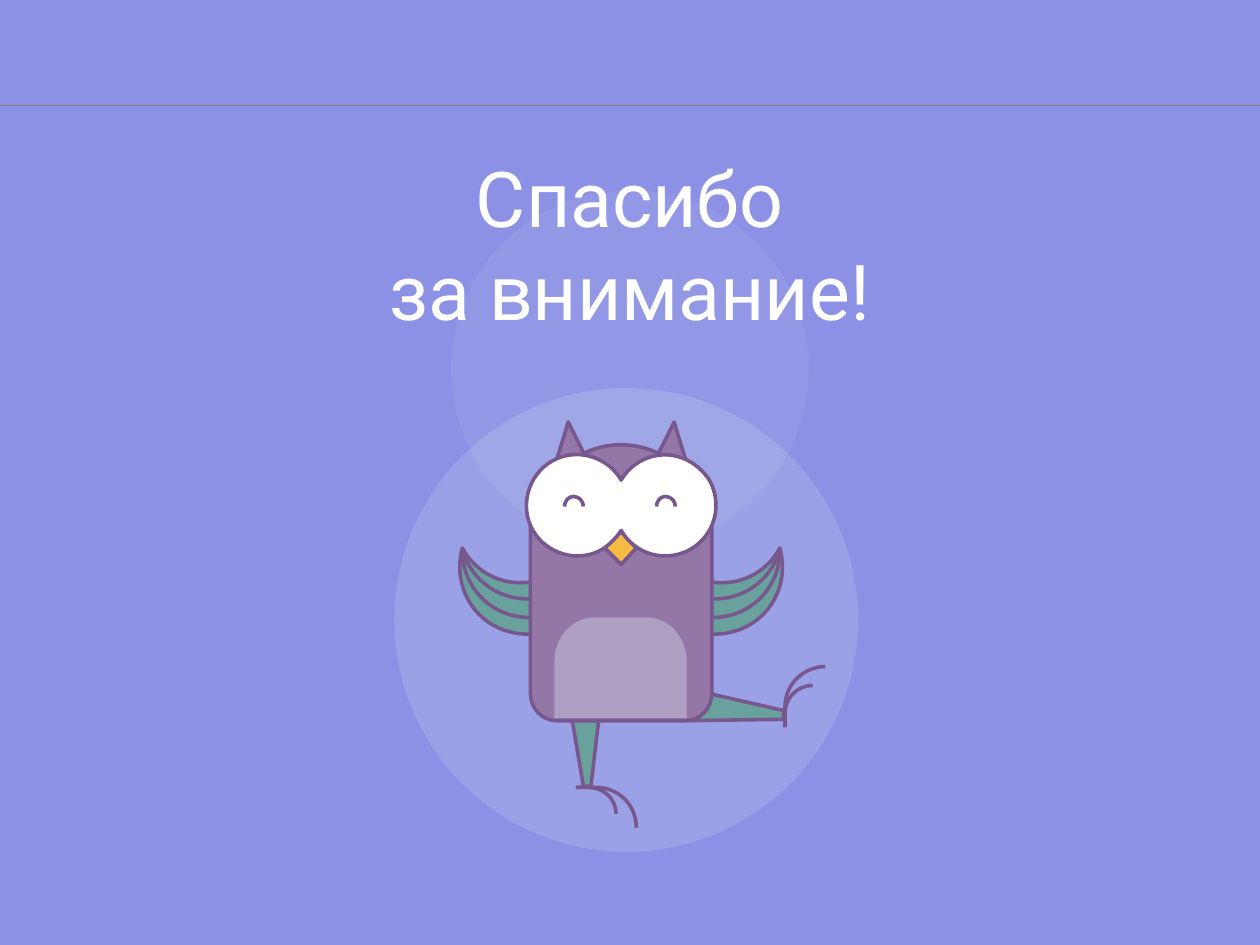
from lxml.etree import SubElement
from pptx import Presentation
from pptx.dml.color import RGBColor
from pptx.enum.shapes import MSO_CONNECTOR, MSO_SHAPE
from pptx.enum.text import MSO_ANCHOR, PP_ALIGN
from pptx.oxml.ns import qn
from pptx.util import Inches, Pt

LILAC = RGBColor(0x8C, 0x91, 0xE6)
GREY = RGBColor(0x80, 0x80, 0x80)
HALO = RGBColor(0xD2, 0xDC, 0xE6)
DISC = RGBColor(0xD8, 0xE4, 0xE7)
TEAL = RGBColor(0x69, 0xA1, 0x9D)
PLUM = RGBColor(0x94, 0x76, 0xA7)
OUTLINE = RGBColor(0x77, 0x57, 0x8E)
BELLY = RGBColor(0xAE, 0xA0, 0xC2)
BEAK = RGBColor(0xF5, 0xBB, 0x42)
EYE = RGBColor(0xFF, 0xFF, 0xFE)
WHITE = RGBColor(0xFF, 0xFF, 0xFF)
FONT = "Roboto"

# Owl outlines: inches from the body axis and the top of the owl's box.
# A point of two numbers is a straight line, of six a Bezier curve.
WING = [(-.65, 1.87), (-.68, 1.75), (-.95, 1.78, -1.2, 1.61, -1.26, 1.35),
        (-1.34, 1.64, -1.18, 1.93, -.9, 2.01), (-.8, 2.04, -.7, 2.04, -.6, 2.01),
        (-.62, 1.97, -.63, 1.92, -.65, 1.87)]
FEATHERS = [(-.65, 1.87), (-.67, 1.79, -.69, 1.7, -.72, 1.62),
            (-.94, 1.65, -1.15, 1.55, -1.26, 1.35),
            (-1.27, 1.65, -1.04, 1.89, -.75, 1.9),
            (-.71, 1.9, -.68, 1.89, -.64, 1.89), (-.65, 1.87)]
FEATHER_LINE = WING[1:3]
EAR = [(-.58, .87), (-.42, .35), (-.29, .61), (-.58, .87)]
SMILE = [(-.45, 1.02), (-.45, .98, -.42, .94, -.38, .94),
         (-.33, .94, -.3, .98, -.3, 1.02)]
RAISED_LEG = [(.72, 2.51), (1.29, 2.64), (1.29, 2.71), (.52, 2.72)]
RAISED_TOES = [[(1.62, 2.29), (1.45, 2.29, 1.3, 2.43, 1.3, 2.61), (1.3, 2.77)],
               [(1.52, 2.44), (1.4, 2.44, 1.3, 2.54, 1.3, 2.66), (1.3, 2.77)]]
LEG = [(-.18, 2.73), (-.24, 3.24), (-.3, 3.24), (-.39, 2.71)]
TOES = [[(.12, 3.57), (.12, 3.39, -.02, 3.25, -.2, 3.25), (-.36, 3.25)],
        [(-.04, 3.46), (-.04, 3.34, -.14, 3.25, -.26, 3.25), (-.36, 3.25)]]
BODY = [(.72, 1.03), (.72, 2.5), (.72, 2.62, .63, 2.72, .51, 2.72), (-.51, 2.72),
        (-.63, 2.72, -.72, 2.62, -.72, 2.5), (-.72, 1.03)]
TUMMY = [(-.53, 2.7), (-.53, 2.25), (-.53, 2.06, -.39, 1.9, -.21, 1.9), (.2, 1.9),
         (.38, 1.9, .52, 2.06, .52, 2.25), (.52, 2.7), (-.53, 2.7)]
HEAD = [(.67, 1.2), (.67, 1.39, 0, 1.06, 0, 1.06), (0, 1.06, -.67, 1.39, -.67, 1.2),
        (-.67, .83, -.37, .53, 0, .53), (.37, .53, .67, .83, .67, 1.2)]
NOSE = [(.12, 1.35), (0, 1.48), (-.13, 1.35), (0, 1.22), (.12, 1.35)]
EYES = [(.35, .61), (.2, .61, .07, .69, 0, .81), (-.11, .62, -.36, .55, -.55, .66),
        (-.74, .77, -.81, 1.02, -.7, 1.21), (-.59, 1.4, -.34, 1.47, -.15, 1.36),
        (-.09, 1.32, -.04, 1.27, 0, 1.21), (.11, 1.4, .35, 1.47, .55, 1.36),
        (.74, 1.25, .81, 1.01, .7, .81), (.62, .69, .49, .61, .35, .61)]


def paint(sp, fill=None, line=None, alpha=None):
    """Set fill, outline and opacity in percent; None leaves a part out."""
    sp.shadow.inherit = False
    if fill is None:
        sp.fill.background()
    else:
        sp.fill.solid()
        sp.fill.fore_color.rgb = fill
    if alpha is not None:
        clr = sp.fill._xPr.find(qn("a:solidFill"))[0]
        SubElement(clr, qn("a:alpha"), val=str(alpha * 1000))
    if line is None:
        sp.line.fill.background()
    else:
        sp.line.color.rgb = line
        sp.line.width = Pt(2.04)


def bend(sp, segments):
    """Join the three points of each curved segment into one Bezier curve."""
    corners = iter(list(sp._element.iter(qn("a:lnTo"))))
    for seg in segments:
        first = next(corners)
        if len(seg) == 6:
            first.tag = qn("a:cubicBezTo")
            for _ in range(2):
                corner = next(corners)
                first.append(corner[0])
                corner.getparent().remove(corner)


def add_disc(shapes, left, top, size, fill, alpha):
    """Add a translucent circle."""
    sp = shapes.add_shape(MSO_SHAPE.OVAL, Inches(left), Inches(top),
                          Inches(size), Inches(size))
    paint(sp, fill, alpha=alpha)


def add_owl(s, left, top):
    """Draw the dancing owl on its disc, from back to front."""
    shapes = s.shapes.add_group_shape().shapes
    axis = left + 1.8

    def trace(outlines, side, fill=None, line=None):
        """Add outlines as one freeform; side -1 mirrors them."""
        builder = None
        for outline in outlines:
            points = [(Inches(axis + side * seg[i]), Inches(top + seg[i + 1]))
                      for seg in outline for i in range(0, len(seg), 2)]
            if builder is None:
                builder = shapes.build_freeform(*points[0], scale=1.0)
            else:
                builder.move_to(*points[0])
            builder.add_line_segments(points[1:], close=points[0] == points[-1])
        sp = builder.convert_to_shape()
        bend(sp, [seg for outline in outlines for seg in outline[1:]])
        paint(sp, fill, line)

    def draw(outline, fill, extra=(), side=1):
        """Add a filled part, then its outline with any extra strokes."""
        trace([outline], side, fill=fill)
        trace([outline, *extra], side, line=OUTLINE)

    add_disc(shapes, left, top + .08, 3.68, DISC, 20)
    for side in (1, -1):
        draw(WING, TEAL, side=side)
        draw(FEATHERS, TEAL, [FEATHER_LINE], side)
    trace(RAISED_TOES, 1, line=OUTLINE)
    draw(RAISED_LEG, TEAL, TOES)
    draw(LEG, TEAL)
    trace([BODY, EAR], 1, fill=PLUM)
    trace([EAR], 1, line=OUTLINE)
    draw(EAR, PLUM, side=-1)
    trace([BODY], 1, line=OUTLINE)
    trace([TUMMY], 1, fill=BELLY)
    draw(HEAD, PLUM)
    draw(NOSE, BEAK)
    draw(EYES, EYE)
    for shift in (0, .73):
        draw([tuple(v + shift if i % 2 == 0 else v for i, v in enumerate(seg))
              for seg in SMILE], EYE)


def add_backdrop(s, width):
    """Colour the background and add the rule and the pale halo."""
    s.background.fill.solid()
    s.background.fill.fore_color.rgb = LILAC
    rule = s.shapes.add_connector(MSO_CONNECTOR.STRAIGHT, 0, Inches(.84),
                                  Inches(width), Inches(.84))
    rule.line.color.rgb = GREY
    rule.line.width = Pt(.74)
    SubElement(rule._element.spPr, qn("a:effectLst"))
    add_disc(s.shapes, 3.58, 1.51, 2.84, HALO, 10)


def add_title(s, left, top, width, height, text):
    """Add the centred closing words, one paragraph per line."""
    box = s.shapes.add_textbox(Inches(left), Inches(top), Inches(width), Inches(height))
    tf = box.text_frame
    tf.word_wrap = True
    tf.vertical_anchor = MSO_ANCHOR.MIDDLE
    tf.text = text
    for p in tf.paragraphs:
        p.alignment = PP_ALIGN.CENTER
        font = p.runs[0].font
        font.name, font.size, font.color.rgb = FONT, Pt(44), WHITE


prs = Presentation()
prs.slide_width, prs.slide_height = Inches(10), Inches(7.5)
s = prs.slides.add_slide(prs.slide_layouts[6])
add_backdrop(s, 10)
add_owl(s, 3.13, 3)
add_title(s, 1.75, 1.15, 6.5, 1.56, "Спасибо\nза внимание!")
prs.save("out.pptx")
